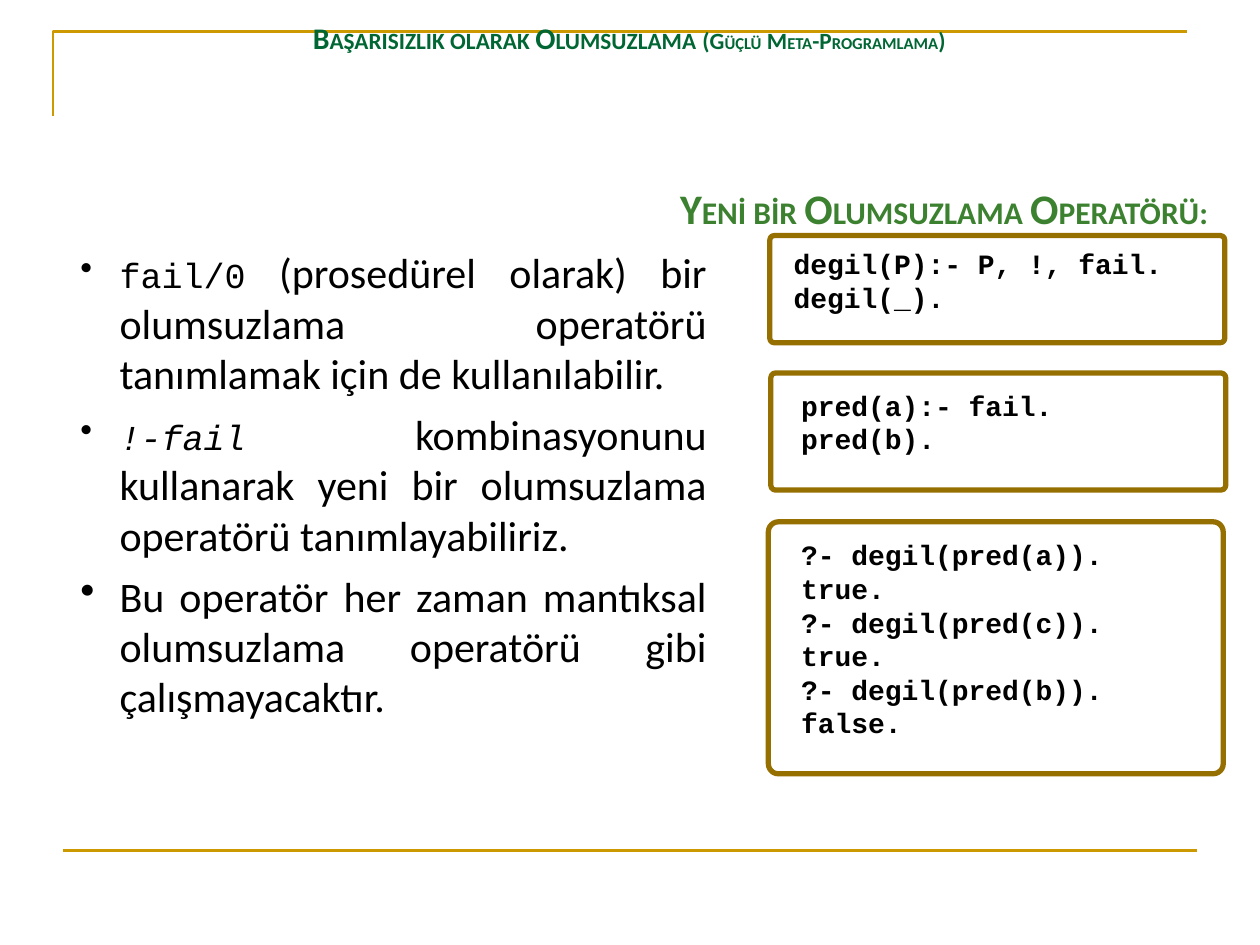
"""Build the slide on negation as failure in Prolog."""
import pptx
import pptx.util
import pptx.dml.color
import pptx.enum.shapes
import pptx.enum.text
import lxml.etree

Cm, Pt = pptx.util.Cm, pptx.util.Pt
ALIGN = pptx.enum.text.PP_ALIGN

THEME = {
    "sans": "Calibri", "mono": "Courier New",
    "rule": "CC9900", "frame": "956F00", "head": "3B812F", "title": "006633", "ink": "000000",
    "body": 24, "term": 20, "code": 16, "cap": 24, "small": 18,
    "big": 17.1, "gap": 15.2, "mid": 13.3, "tiny": 9.5,
}

TITLE = [
    ("B", "big"), ("AŞARISIZLIK OLARAK ", "mid"), ("O", "big"), ("LUMSUZLAMA", "mid"),
    (" ", "gap"), ("(G", "mid"), ("ÜÇLÜ", "tiny"), (" M", "mid"), ("ETA", "tiny"),
    ("-P", "mid"), ("ROGRAMLAMA", "tiny"), (")", "mid"),
]
HEAD = [
    ("Y", "cap"), ("ENİ BİR ", "small"), ("O", "cap"), ("LUMSUZLAMA ", "small"),
    ("O", "cap"), ("PERATÖRÜ:", "small"),
]
BODY = [
    [("fail/0", "term", False),
     (" (prosedürel olarak) bir olumsuzlama operatörü tanımlamak için de kullanılabilir. ", "body", False)],
    [("!-fail ", "term", True),
     ("kombinasyonunu kullanarak yeni bir olumsuzlama operatörü tanımlayabiliriz.", "body", False)],
    [("Bu operatör her zaman mantıksal olumsuzlama operatörü gibi çalışmayacaktır.", "body", False)],
]
CODE = [
    ((15.52, 4.75, 9.17, 2.16), (15.75, 4.85, 8.38, 1.63),
     ["degil(P):- P, !, fail.", "degil(_)."]),
    ((15.54, 7.52, 9.17, 2.36), (15.9, 7.7, 6.96, 1.63),
     ["pred(a):- fail.", "pred(b)."]),
    ((15.49, 10.52, 9.17, 5.08), (15.9, 10.72, 8, 4.32),
     ["?- degil(pred(a)).", "true.", "?- degil(pred(c)).", "true.", "?- degil(pred(b)).", "false."]),
]
CORNER = [(1.07, 2.34), (1.07, 0.64), (23.93, 0.64)]
RULE = [(1.27, 17.15), (24.13, 17.15)]
BODY_AT = (1.37, 4.85, 13.13, 13.13)
HEAD_AT = (13.46, 3.56, 11.6, 1.27)
TITLE_AT = (1.09, 0.41, 23.19, 2.06)
INDENT = 0.79


def lengths(nums):
    return [Cm(num) for num in nums]


def color(name):
    return pptx.dml.color.RGBColor.from_string(THEME[name])


def stroke(line, name, width):
    line.color.rgb = color(name)
    line.width = Pt(width)


def add_run(para, text, size, face="sans", ink="ink", bold=False, slant=False):
    run = para.add_run()
    run.text = text
    font = run.font
    font.name, font.size, font.bold, font.italic = THEME[face], Pt(THEME[size]), bold, slant
    font.color.rgb = color(ink)


def add_caps(para, runs, ink):
    for text, size in runs:
        add_run(para, text, size, ink=ink, bold=True)


def add_box(shapes, place):
    frame = shapes.add_textbox(*lengths(place)).text_frame
    frame.word_wrap = True
    return frame


def each_para(frame, items):
    for num, item in enumerate(items):
        yield (frame.add_paragraph() if num else frame.paragraphs[0]), item


def add_mark(para):
    props = para._p.get_or_add_pPr()
    props.set("marL", str(Cm(INDENT)))
    props.set("indent", str(-Cm(INDENT)))
    bullet = lxml.etree.SubElement(props, pptx.oxml.ns.qn("a:buChar"))
    bullet.set("char", "•")


def add_rules(shapes):
    start, *rest = [lengths(point) for point in CORNER]
    build = shapes.build_freeform(*start)
    build.add_line_segments(rest, close=False)
    corner = build.convert_to_shape()
    corner.shadow.inherit = False
    corner.fill.background()
    stroke(corner.line, "rule", 1.5)
    rule = shapes.add_connector(
        pptx.enum.shapes.MSO_CONNECTOR.STRAIGHT, *lengths(RULE[0] + RULE[1]))
    lxml.etree.SubElement(rule._element.spPr, pptx.oxml.ns.qn("a:effectLst"))
    stroke(rule.line, "rule", 1.5)
    rule._element.spPr.append(rule._element.spPr.find(pptx.oxml.ns.qn("a:effectLst")))


def add_body(shapes):
    for para, runs in each_para(add_box(shapes, BODY_AT), BODY):
        para.alignment = ALIGN.JUSTIFY
        para.space_after = Pt(6)
        add_mark(para)
        for text, size, slant in runs:
            add_run(para, text, size, "mono" if size == "term" else "sans", slant=slant)


def add_code(shapes, place, inner, lines):
    panel = shapes.add_shape(
        pptx.enum.shapes.MSO_SHAPE.ROUNDED_RECTANGLE, *lengths(place))
    panel.adjustments[0] = 0.04
    panel.shadow.inherit = False
    panel.fill.background()
    stroke(panel.line, "frame", 3)
    for para, text in each_para(add_box(shapes, inner), lines):
        add_run(para, text, "code", "mono", bold=True)


def set_title(shapes):
    title = shapes.title
    title.left, title.top, title.width, title.height = lengths(TITLE_AT)
    frame = title.text_frame
    frame.vertical_anchor = pptx.enum.text.MSO_ANCHOR.TOP
    para = frame.paragraphs[0]
    para.alignment = ALIGN.CENTER
    para.line_spacing = 0.8
    add_caps(para, TITLE, "title")
    shapes._spTree.append(title._element)


def main():
    deck = pptx.Presentation()
    deck.slide_width, deck.slide_height = lengths((25.4, 19.05))
    shapes = deck.slides.add_slide(deck.slide_layouts[5]).shapes
    add_rules(shapes)
    add_body(shapes)
    add_caps(add_box(shapes, HEAD_AT).paragraphs[0], HEAD, "head")
    for place, inner, lines in CODE:
        add_code(shapes, place, inner, lines)
    set_title(shapes)
    deck.save("out.pptx")


if __name__ == "__main__":
    main()
